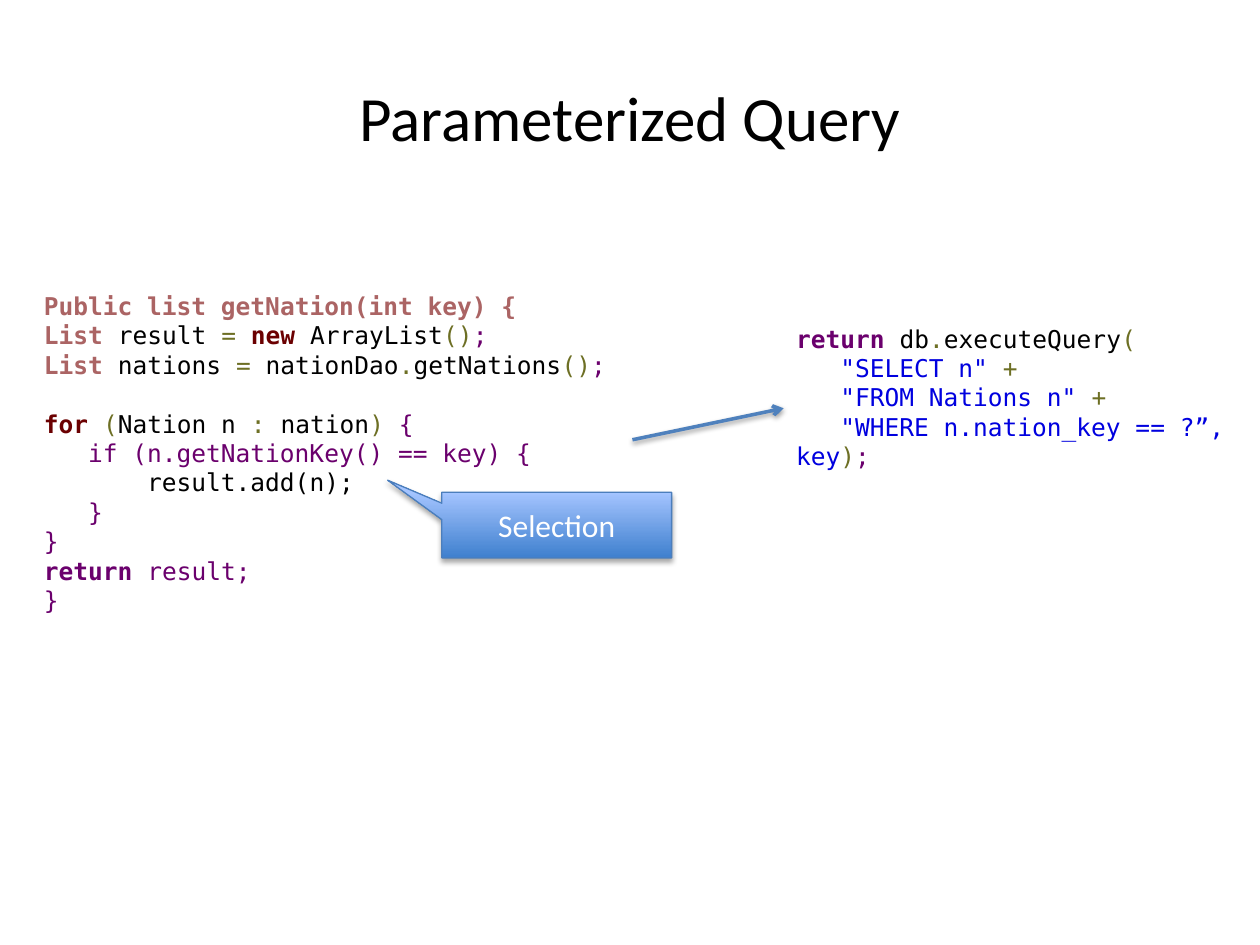
from lxml import etree
from pptx import Presentation
from pptx.dml.color import RGBColor
from pptx.enum.shapes import MSO_CONNECTOR, MSO_SHAPE
from pptx.enum.text import MSO_ANCHOR, PP_ALIGN
from pptx.oxml.ns import qn
from pptx.util import Pt

CENTER = PP_ALIGN.CENTER
MIDDLE, TOP = MSO_ANCHOR.MIDDLE, MSO_ANCHOR.TOP
CALLOUT, STRAIGHT = MSO_SHAPE.RECTANGULAR_CALLOUT, MSO_CONNECTOR.STRAIGHT

BLACK = RGBColor(0x00, 0x00, 0x00)
WHITE = RGBColor(0xFF, 0xFF, 0xFF)
ROSE = RGBColor(0xAB, 0x64, 0x64)
OLIVE = RGBColor(0x6D, 0x6F, 0x24)
MAROON = RGBColor(0x6B, 0x00, 0x01)
PURPLE = RGBColor(0x6B, 0x00, 0x6D)
BLUE = RGBColor(0x00, 0x00, 0xDF)
ARROW_BLUE = RGBColor(0x4F, 0x81, 0xBD)
EDGE_BLUE = RGBColor(0x4B, 0x7E, 0xBC)
DEEP_BLUE = RGBColor(0x3F, 0x80, 0xCE)
PALE_BLUE = RGBColor(0xA4, 0xC4, 0xFF)

CODE_CHAR = 8.43
CODE_LINE = 16.8

# Format values of each kind of code token
TOKENS = {
    "type": {"bold": True, "color": ROSE},
    "key": {"bold": True, "color": MAROON},
    "return": {"bold": True, "color": PURPLE},
    "name": {"color": BLACK},
    "op": {"color": OLIVE},
    "mark": {"color": PURPLE},
    "str": {"color": BLUE},
}

# Each line of code: indent in characters, space before in lines, tokens
LOOP_CODE = [
    (0, 0, [("Public list getNation(int key) {", "type")]),
    (0, 0, [("List ", "type"), ("result ", "name"), ("= ", "op"), ("new ", "key"),
            ("ArrayList", "name"), ("()", "op"), (";", "mark")]),
    (0, 0, [("List ", "type"), ("nations ", "name"), ("= ", "op"),
            ("nationDao", "name"), (".", "op"), ("getNations", "name"),
            ("()", "op"), (";", "mark")]),
    (0, 1, [("for ", "key"), ("(", "op"), ("Nation n ", "name"), (": ", "op"),
            ("nation", "name"), (") ", "op"), ("{", "mark")]),
    (3, 0, [("if (n.getNationKey() == key) {", "mark")]),
    (7, 0, [("result.add(n);", "name")]),
    (3, 0, [("}", "mark")]),
    (0, 0, [("}", "mark")]),
    (0, 0, [("return ", "return"), ("result;", "mark")]),
    (0, 0, [("}", "mark")]),
]
QUERY_CODE = [
    (0, 0, [("return ", "return"), ("db", "name"), (".", "op"),
            ("executeQuery", "name"), ("(", "op")]),
    (3, 0, [('"SELECT n" ', "str"), ("+", "op")]),
    (3, 0, [('"FROM Nations n" ', "str"), ("+", "op")]),
    (3, 0, [('"WHERE n.nation_key == ?”, key', "str"), (")", "op"), (";", "mark")]),
]


class QuerySlide:
    """Holds the style and the current slide."""

    heading_font = "Calibri"
    code_font = "DejaVu Sans Mono"
    code_size = 14

    def __init__(self, slide):
        """Keep the slide that the elements go on."""
        self.slide = slide

    def add_run(self, paragraph, text, font, size, color, bold=False):
        """Append formatted text to a paragraph."""
        run = paragraph.add_run()
        run.text = text
        for name, value in {"name": font, "size": Pt(size), "bold": bold}.items():
            setattr(run.font, name, value)
        run.font.color.rgb = color

    def add_frame(self, left, top, width, height, anchor=TOP):
        """Add a wrapping text box and return its text frame."""
        box = self.slide.shapes.add_textbox(Pt(left), Pt(top), Pt(width), Pt(height))
        for name, value in {"word_wrap": True, "vertical_anchor": anchor}.items():
            setattr(box.text_frame, name, value)
        return box.text_frame

    def add_label(self, frame, text, size, color):
        """Write one centred line into a text frame."""
        paragraph = frame.paragraphs[0]
        paragraph.alignment = CENTER
        self.add_run(paragraph, text, self.heading_font, size, color)

    def add_title(self, text, left, top, width, height):
        """Add the slide heading."""
        frame = self.add_frame(left, top, width, height, MIDDLE)
        self.add_label(frame, text, 36, BLACK)

    def add_code(self, lines, left, top, width, height):
        """Add a block of highlighted code, a paragraph to each line."""
        frame = self.add_frame(left, top, width, height)
        for number, (indent, gap, tokens) in enumerate(lines):
            paragraph = frame.add_paragraph() if number else frame.paragraphs[0]
            if gap:
                paragraph.space_before = Pt(gap * CODE_LINE)
            if indent:
                first_line = Pt(indent * CODE_CHAR)
                paragraph._p.get_or_add_pPr().set("indent", str(first_line))
            for text, kind in tokens:
                self.add_run(paragraph, text, self.code_font, self.code_size,
                             **TOKENS[kind])

    def add_shadow(self, shape, opacity, blur, distance):
        """Give a shape a soft black shadow that falls downwards."""
        properties = shape._element.spPr
        for old in properties.findall(qn("a:effectLst")):
            properties.remove(old)
        effects = etree.SubElement(properties, qn("a:effectLst"))
        shadow = etree.SubElement(
            effects, qn("a:outerShdw"), blurRad=str(Pt(blur)),
            dist=str(Pt(distance)), dir="5400000", rotWithShape="0")
        color = etree.SubElement(shadow, qn("a:srgbClr"), val=str(BLACK))
        etree.SubElement(color, qn("a:alpha"), val=str(opacity * 1000))

    def add_arrow(self, start, end):
        """Add an arrow between two points."""
        arrow = self.slide.shapes.add_connector(
            STRAIGHT, *(Pt(value) for value in (*start, *end)))
        arrow.line.color.rgb = ARROW_BLUE
        arrow.line.width = Pt(2)
        etree.SubElement(arrow.line._get_or_add_ln(), qn("a:tailEnd"), type="arrow")
        self.add_shadow(arrow, 38, 3.1, 1.6)

    def add_callout(self, text, left, top, width, height, tip):
        """Add a shaded callout whose tip is given relative to its centre."""
        callout = self.slide.shapes.add_shape(
            CALLOUT, Pt(left), Pt(top), Pt(width), Pt(height))
        for position, offset in enumerate(tip):
            callout.adjustments[position] = offset
        callout.fill.gradient()
        callout.fill.gradient_angle = 90
        for stop, color in zip(callout.fill.gradient_stops, (DEEP_BLUE, PALE_BLUE)):
            stop.color.rgb = color
        callout.line.color.rgb = EDGE_BLUE
        callout.line.width = Pt(0.75)
        self.add_shadow(callout, 35, 3.1, 1.8)
        callout.text_frame.vertical_anchor = MIDDLE
        self.add_label(callout.text_frame, text, 18, WHITE)


def main():
    """Build and save the presentation."""
    deck = Presentation()
    deck.slide_width, deck.slide_height = Pt(720), Pt(540)
    page = QuerySlide(deck.slides.add_slide(deck.slide_layouts[6]))
    page.add_title("Parameterized Query", 36, 21.6, 648, 90)
    page.add_code(LOOP_CODE, 18, 162.7, 343.4, 177)
    page.add_code(QUERY_CODE, 447.8, 181.4, 272.2, 103.7)
    page.add_arrow((361.4, 251.3), (447.8, 233.3))
    page.add_callout("Selection", 252.5, 281.3, 131.3, 37.5, (-0.736, -0.685))
    deck.save("out.pptx")


main()
